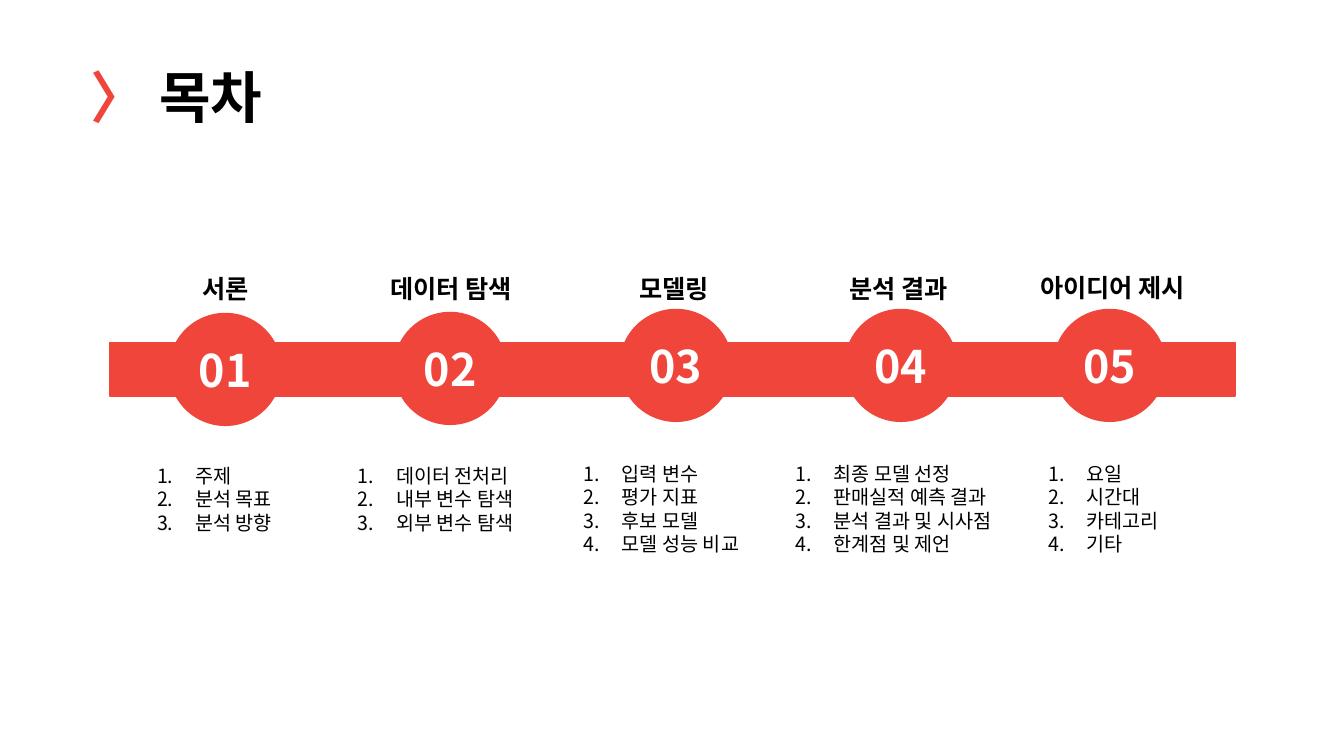
import pptx
import pptx.util
import pptx.dml.color
import pptx.enum.shapes
import pptx.enum.text
from lxml import etree

WIDTH, HEIGHT = 13.33, 7.5
FONT = "Noto Sans CJK KR"
RED, BLACK, WHITE = "F0453A", "000000", "FFFFFF"
DISC = 1.11
INDENT = 0.38
ALIGN = pptx.enum.text.PP_ALIGN
ANCHOR = pptx.enum.text.MSO_ANCHOR
SHAPE = pptx.enum.shapes.MSO_SHAPE

# heading, heading box (left, top, width), disc (left, top),
# list box (left, top, width, height), list entries
STEPS = [
    ("서론", (1.46, 2.66, 1.55), (1.68, 3.11), (1.46, 4.55, 1.66, 0.81),
     ["주제", "분석 목표", "분석 방향"]),
    ("데이터 탐색", (3.26, 2.66, 2.43), (3.91, 3.1), (3.45, 4.55, 1.89, 0.81),
     ["데이터 전처리", "내부 변수 탐색", "외부 변수 탐색"]),
    ("모델링", (5.47, 2.66, 2.43), (6.15, 3.07), (5.69, 4.53, 2.05, 1.28),
     ["입력 변수", "평가 지표", "후보 모델", "모델 성능 비교"]),
    ("분석 결과", (7.7, 2.66, 2.43), (8.38, 3.07), (7.79, 4.53, 2.43, 1.04),
     ["최종 모델 선정", "판매실적 예측 결과", "분석 결과 및 시사점", "한계점 및 제언"]),
    ("아이디어 제시", (9.82, 2.65, 2.43), (10.45, 3.07), (10.3, 4.53, 1.87, 1.04),
     ["요일", "시간대", "카테고리", "기타"]),
]


def color(code):
    return pptx.dml.color.RGBColor.from_string(code)


def inches(box):
    return [pptx.util.Inches(side) for side in box]


def style(run, size, code, bold=False):
    font = run.font
    font.size, font.bold, font.name = pptx.util.Pt(size), bold, FONT
    font.color.rgb = color(code)
    props = run._r.get_or_add_rPr()
    latin = props.find(pptx.oxml.ns.qn("a:latin"))
    east = etree.Element(pptx.oxml.ns.qn("a:ea"), typeface=FONT)
    latin.addnext(east)


def write(frame, text, size, code, bold=False, align=ALIGN.LEFT):
    """Fill a frame, one paragraph to each line of text."""
    frame.word_wrap = True
    frame.text = text
    for para in frame.paragraphs:
        para.alignment = align
        for run in para.runs:
            style(run, size, code, bold)


def label(slide, box, *look):
    frame = slide.shapes.add_textbox(*inches(box)).text_frame
    write(frame, *look)
    return frame


def block(slide, kind, box):
    shape = slide.shapes.add_shape(kind, *inches(box))
    shape.shadow.inherit = False
    shape.fill.solid()
    shape.fill.fore_color.rgb = color(RED)
    shape.line.color.rgb = color(RED)
    shape.line.width = pptx.util.Pt(1)
    return shape


def number(frame):
    """Number the paragraphs with a hanging indent."""
    hang = pptx.util.Inches(INDENT)
    for para in frame.paragraphs:
        props = para._p.get_or_add_pPr()
        props.set("marL", str(hang))
        props.set("indent", str(-hang))
        etree.SubElement(props, pptx.oxml.ns.qn("a:buAutoNum"), type="arabicPeriod")


def title(slide):
    frame = label(slide, (0.8, 0.57, 1.93, 0.77), "〉 ", 40, RED, True, ALIGN.JUSTIFY)
    frame.vertical_anchor = ANCHOR.MIDDLE
    run = frame.paragraphs[0].add_run()
    run.text = "목차"
    style(run, 40, BLACK, True)


def step(slide, index, head, top, disc, box, items):
    circle = block(slide, SHAPE.OVAL, (*disc, DISC, DISC))
    circle.text_frame.vertical_anchor = ANCHOR.MIDDLE
    write(circle.text_frame, f"{index:02}", 32, WHITE, True, ALIGN.CENTER)
    label(slide, (*top, 0.4), head, 18, BLACK, True, ALIGN.CENTER)
    number(label(slide, box, "\n".join(items), 14, BLACK))


def main():
    deck = pptx.Presentation()
    deck.slide_width, deck.slide_height = inches((WIDTH, HEIGHT))
    slide = deck.slides.add_slide(deck.slide_layouts[6])
    title(slide)
    block(slide, SHAPE.RECTANGLE, (1.09, 3.4, 11.16, 0.53))
    for index, parts in enumerate(STEPS, 1):
        step(slide, index, *parts)
    deck.save("out.pptx")


if __name__ == "__main__":
    main()
